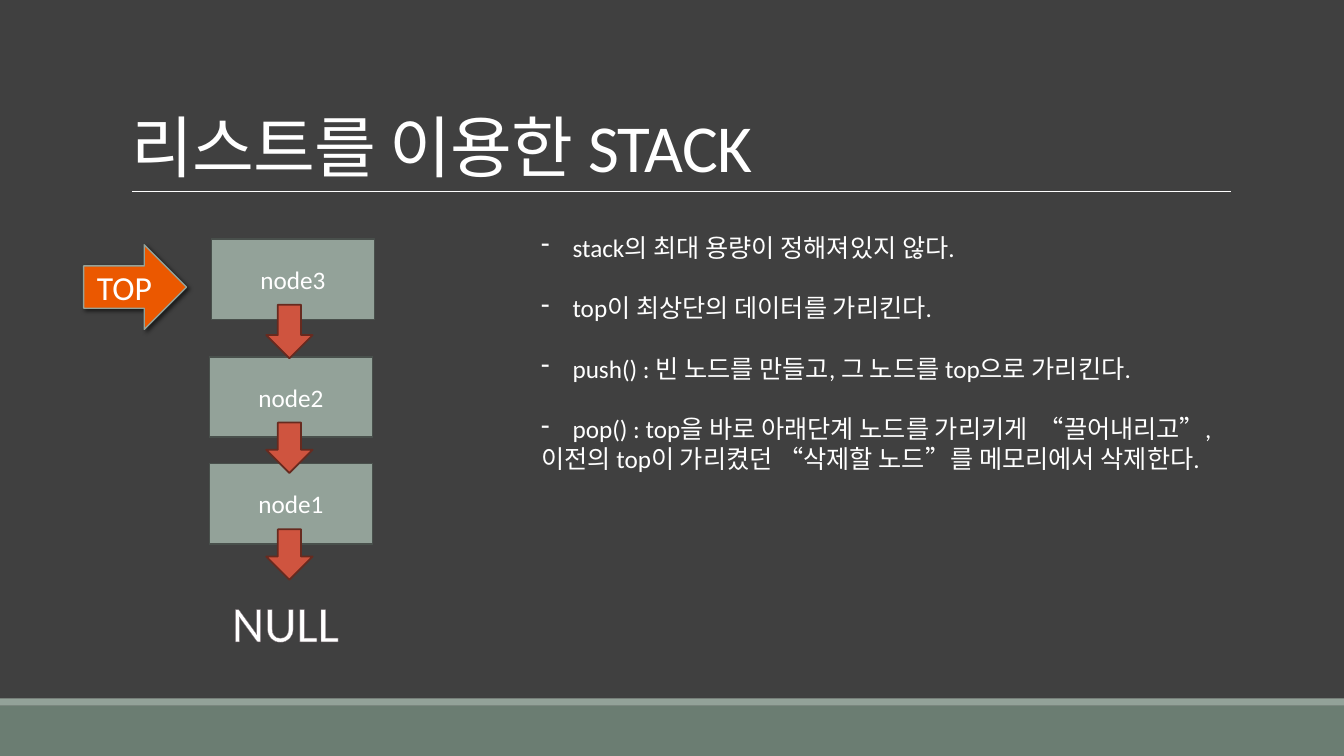
from lxml import etree
from pptx import Presentation
from pptx import util as u
from pptx.dml.color import RGBColor
from pptx.enum import shapes, text
from pptx.oxml import parse_xml
from pptx.oxml.ns import nsdecls, qn

Cm, Pt = u.Cm, u.Pt
SHAPE, ALIGN, ANCHOR = shapes.MSO_SHAPE, text.PP_ALIGN, text.MSO_ANCHOR
FONT = "Calibri"

WHITE = RGBColor(0xFF, 0xFF, 0xFF)
BACKGROUND = RGBColor(0x40, 0x40, 0x40)
GREEN = RGBColor(0x6B, 0x7D, 0x72)
SAGE = RGBColor(0x93, 0xA2, 0x99)
NODE_LINE = RGBColor(0x49, 0x50, 0x4C)
RED = RGBColor(0xCF, 0x54, 0x3F)
RED_LINE = RGBColor(0x67, 0x2A, 0x1F)
ORANGE = RGBColor(0xEB, 0x58, 0x00)
NULL_OUTLINE = "786C71"

TITLE = "리스트를 이용한 STACK"
POINTS = [
    "stack의 최대 용량이 정해져있지 않다.",
    "top이 최상단의 데이터를 가리킨다.",
    "push() : 빈 노드를 만들고, 그 노드를 top으로 가리킨다.",
    "pop() : top을 바로 아래단계 노드를 가리키게  “끌어내리고”,",
]
CONTINUATION = "이전의 top이 가리켰던 “삭제할 노드”를 메모리에서 삭제한다."
# label, left, top, length of the arrow below (cm)
NODES = [
    ("node3", 5.33, 6.02, 1.35),
    ("node2", 5.28, 8.99, 1.27),
    ("node1", 5.28, 11.68, 1.27),
]
NODE_W, NODE_H = 4.11, 2.03
ARROW_LEFT, ARROW_W, ARROW_DROP = 6.71, 1.17, 1.66


def style(p, size):
    for r in p.runs:
        r.font.name, r.font.size, r.font.color.rgb = FONT, Pt(size), WHITE


def add_block(kind, box, fill, line=None, width=1.25, label="", size=18):
    sp = slide.shapes.add_shape(kind, *map(Cm, box))
    sp.shadow.inherit = False
    sp.fill.solid()
    sp.fill.fore_color.rgb = fill
    if line is None:
        sp.line.fill.background()
    else:
        sp.line.color.rgb, sp.line.width = line, Pt(width)
    if label:
        tf = sp.text_frame
        tf.text, tf.vertical_anchor = label, ANCHOR.MIDDLE
        tf.paragraphs[0].alignment = ALIGN.CENTER
        style(tf.paragraphs[0], size)
    return sp


def add_dash(p):
    """Give the paragraph a hanging dash bullet."""
    pPr = p._p.get_or_add_pPr()
    pPr.set("marL", str(Cm(0.79)))
    pPr.set("indent", str(-Cm(0.79)))
    etree.SubElement(pPr, qn("a:buChar")).set("char", "-")


prs = Presentation()
prs.slide_width, prs.slide_height = Cm(33.87), Cm(19.05)
slide = prs.slides.add_slide(prs.slide_layouts[5])
slide.background.fill.solid()
slide.background.fill.fore_color.rgb = BACKGROUND

# Frame and title
add_block(SHAPE.RECTANGLE, (0, 17.78, 33.87, 1.27), GREEN)
add_block(SHAPE.RECTANGLE, (0, 17.6, 33.87, 0.18), SAGE)
rule = slide.shapes.add_connector(
    shapes.MSO_CONNECTOR.STRAIGHT, Cm(3.33), Cm(4.83), Cm(31.01), Cm(4.83))
rule.line.color.rgb, rule.line.width = WHITE, Pt(0.5)
etree.SubElement(rule._element.spPr, qn("a:effectLst"))

title = slide.shapes.title
title.left, title.top, title.width, title.height = map(Cm, (3.05, 0.79, 27.94, 4.04))
tf = title.text_frame
tf.text, tf.vertical_anchor = TITLE, ANCHOR.BOTTOM
tf.auto_size = text.MSO_AUTO_SIZE.NONE
p = tf.paragraphs[0]
p.alignment, p.line_spacing = ALIGN.LEFT, 0.85
style(p, 48)
p.runs[0].font._element.set("spc", "-50")

# Explanation
tf = slide.shapes.add_textbox(*map(Cm, (13.39, 5.72, 17.83, 7.09))).text_frame
tf.word_wrap = True
tf.auto_size = text.MSO_AUTO_SIZE.SHAPE_TO_FIT_TEXT
tf.text = "\n".join(POINTS + [CONTINUATION])
for i, p in enumerate(tf.paragraphs):
    style(p, 18)
    if i < len(POINTS) - 1:
        p.space_after = Pt(21.6)
    if i < len(POINTS):
        add_dash(p)

# Linked list
for label, left, top, _ in NODES:
    add_block(SHAPE.RECTANGLE, (left, top, NODE_W, NODE_H), SAGE, NODE_LINE, label=label)
for _, _, top, length in NODES:
    add_block(SHAPE.DOWN_ARROW, (ARROW_LEFT, top + ARROW_DROP, ARROW_W, length),
              RED, RED_LINE)

tf = slide.shapes.add_textbox(*map(Cm, (5.59, 14.78, 3.25, 1.78))).text_frame
tf.text = "NULL"
tf.auto_size = text.MSO_AUTO_SIZE.SHAPE_TO_FIT_TEXT
style(tf.paragraphs[0], 36)
tf.paragraphs[0].runs[0].font._element.insert(0, parse_xml(
    f'<a:ln {nsdecls("a")} w="{Pt(1.25)}"><a:solidFill>'
    f'<a:srgbClr val="{NULL_OUTLINE}"/></a:solidFill></a:ln>'))

top_arrow = add_block(SHAPE.RIGHT_ARROW, (2.11, 6.17, 2.59, 2.13), ORANGE, SAGE, 1,
                      "TOP", 24)
top_arrow._element.spPr.find(qn("a:effectLst")).append(parse_xml(
    f'<a:outerShdw {nsdecls("a")} blurRad="{Pt(3)}" dist="{Pt(2)}" dir="2700000">'
    '<a:srgbClr val="000000"><a:alpha val="60000"/></a:srgbClr></a:outerShdw>'))

prs.save("out.pptx")
